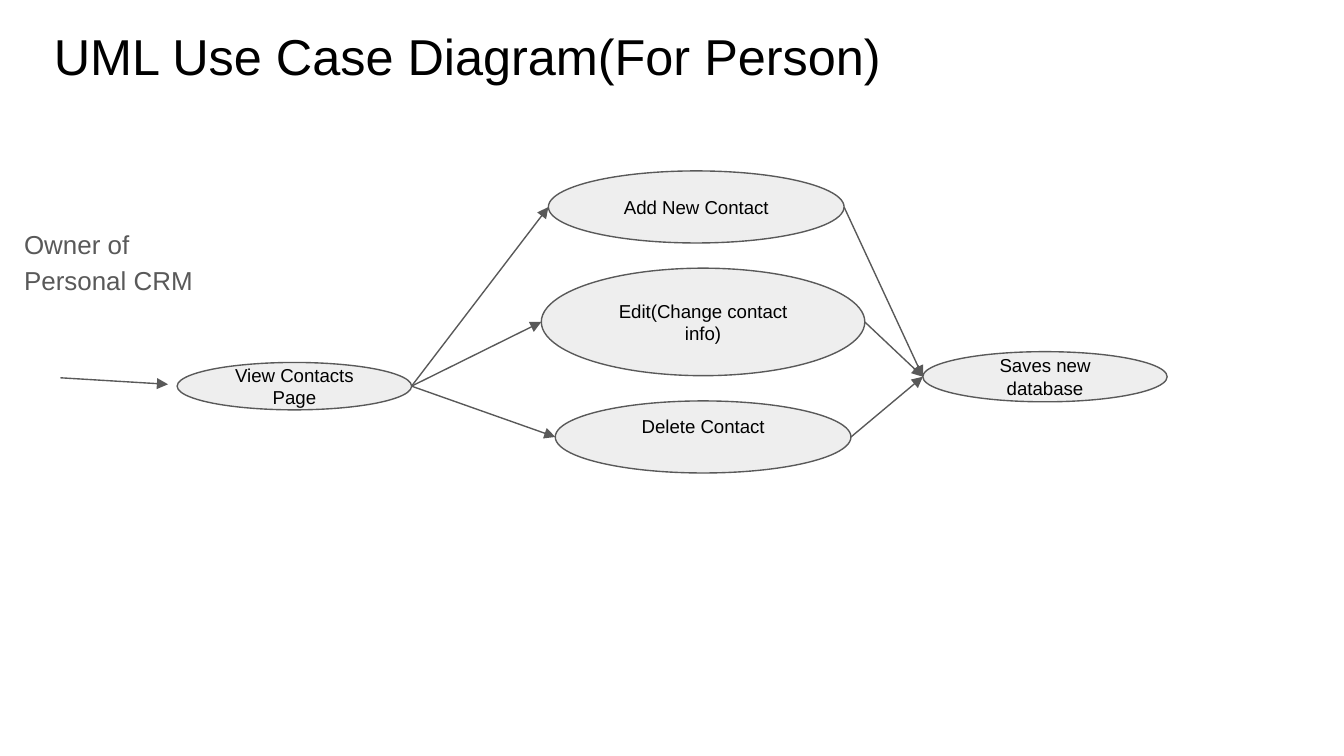
from dataclasses import dataclass

from lxml.etree import SubElement
from pptx import Presentation
from pptx.dml.color import RGBColor
from pptx.enum.shapes import MSO_CONNECTOR, MSO_SHAPE
from pptx.enum.text import MSO_ANCHOR as Anchor, MSO_AUTO_SIZE as AutoSize, PP_ALIGN as Align
from pptx.oxml.ns import qn
from pptx.util import Pt

COLORS = {"title": "000000", "oval_text": "000000", "label": "595959",
          "line": "595959", "oval": "EEEEEE"}
FONT = "Arial"
INSET = 7.2
LINE_WIDTH = 0.75


@dataclass(frozen=True)
class UseCase:
    text: str
    left: float
    top: float
    width: float
    height: float
    bottom_inset: float = INSET

    @property
    def entry(self) -> tuple[float, float]:
        return self.left, self.top + self.height / 2

    @property
    def exit(self) -> tuple[float, float]:
        return self.left + self.width, self.top + self.height / 2


def rgb(role: str) -> RGBColor:
    return RGBColor.from_string(COLORS[role])


def write(shape, text: str, size: float, role: str, align: Align, anchor: Anchor,
          bottom_inset: float = INSET):
    """Fill a shape with one formatted paragraph and return the paragraph."""
    frame = shape.text_frame
    frame.text = text
    frame_format = {
        "word_wrap": True, "auto_size": AutoSize.NONE, "vertical_anchor": anchor,
        "margin_left": Pt(INSET), "margin_right": Pt(INSET),
        "margin_top": Pt(INSET), "margin_bottom": Pt(bottom_inset),
    }
    for name, value in frame_format.items():
        setattr(frame, name, value)
    paragraph = frame.paragraphs[0]
    paragraph.alignment = align
    font = paragraph.runs[0].font
    for name, value in {"name": FONT, "size": Pt(size)}.items():
        setattr(font, name, value)
    font.color.rgb = rgb(role)
    return paragraph


def draw_use_case(slide, case: UseCase) -> None:
    oval = slide.shapes.add_shape(MSO_SHAPE.OVAL, Pt(case.left), Pt(case.top),
                                  Pt(case.width), Pt(case.height))
    oval.shadow.inherit = False
    oval.fill.solid()
    oval.fill.fore_color.rgb = rgb("oval")
    oval.line.color.rgb = rgb("line")
    oval.line.width = Pt(LINE_WIDTH)
    write(oval, case.text, 10, "oval_text", Align.CENTER, Anchor.MIDDLE, case.bottom_inset)


def draw_arrow(slide, start: tuple[float, float], end: tuple[float, float]) -> None:
    arrow = slide.shapes.add_connector(MSO_CONNECTOR.STRAIGHT,
                                       *(Pt(value) for value in start + end))
    arrow.line.color.rgb = rgb("line")
    arrow.line.width = Pt(LINE_WIDTH)
    SubElement(arrow.line._get_or_add_ln(), qn("a:tailEnd"), type="triangle")
    SubElement(arrow._element.spPr, qn("a:effectLst"))


view = UseCase("View Contacts Page", 94.9, 194.2, 125.6, 25.4)
actions = [
    UseCase("Add New Contact", 293.8, 91.6, 158.4, 38.6),
    UseCase("Edit(Change contact info)", 290.0, 143.7, 173.3, 57.6),
    # The larger bottom inset lifts the text by half a line
    UseCase("Delete Contact", 297.5, 214.8, 158.4, 38.6, bottom_inset=18.7),
]
save = UseCase("Saves new database", 494.4, 188.4, 130.9, 26.9)

presentation = Presentation()
presentation.slide_width, presentation.slide_height = Pt(720), Pt(405)
slide = presentation.slides.add_slide(presentation.slide_layouts[5])

# Title
title = slide.shapes.title
title_box = {"left": Pt(21.6), "top": Pt(10.8), "width": Pt(495.4), "height": Pt(42.5)}
for side, length in title_box.items():
    setattr(title, side, length)
write(title, "UML Use Case Diagram(For Person)", 27, "title", Align.LEFT, Anchor.BOTTOM)

# Actor
actor = slide.shapes.add_textbox(Pt(5.8), Pt(113), Pt(108.7), Pt(51.1))
actor_line = write(actor, "Owner of Personal CRM", 13.9, "label", Align.LEFT, Anchor.TOP)
for name, value in {"line_spacing": 1.15, "space_after": Pt(12)}.items():
    setattr(actor_line, name, value)

# Use cases
for case in [view, *actions, save]:
    draw_use_case(slide, case)

# Flow
draw_arrow(slide, (32.4, 202.4), (90, 205.9))
for action in actions:
    draw_arrow(slide, view.exit, action.entry)
    draw_arrow(slide, action.exit, save.entry)

presentation.save("out.pptx")
